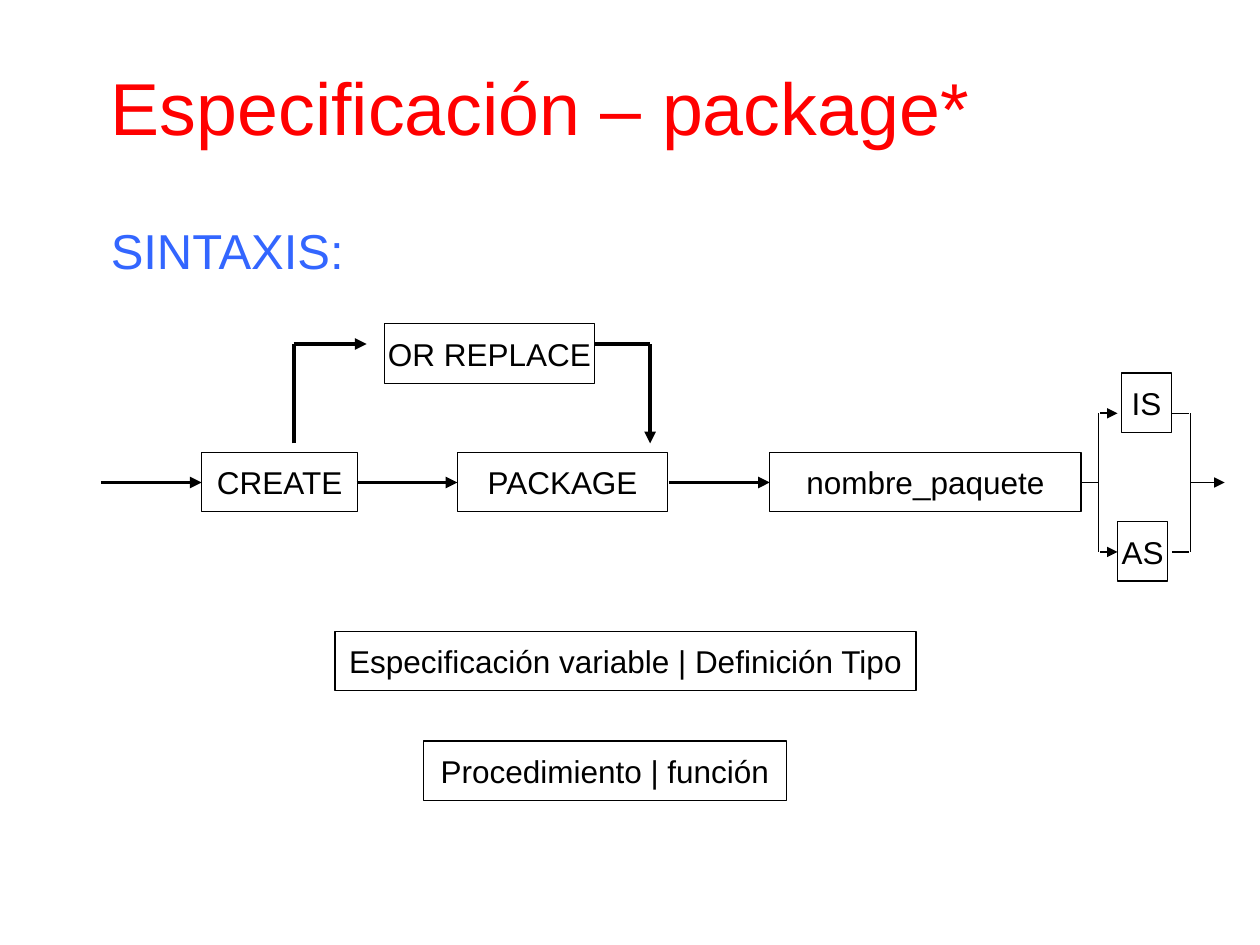
from lxml.etree import SubElement
from pptx import Presentation
from pptx.dml.color import RGBColor
from pptx.enum.shapes import MSO_CONNECTOR as Conn, MSO_SHAPE as Shape
from pptx.enum.text import MSO_ANCHOR as Anchor, MSO_AUTO_SIZE as AutoSize, PP_ALIGN as Align
from pptx.oxml.ns import qn
from pptx.util import Pt

RED = RGBColor(0xFF, 0x00, 0x00)
BLUE = RGBColor(0x33, 0x66, 0xFF)
BLACK = RGBColor(0x00, 0x00, 0x00)
FONT = "Arial"

BOX_H = 34
MAIN_Y = 275.7      # axis of the main track
BYPASS_Y = 196.6    # axis of the OR REPLACE detour
IS_Y, AS_Y = 236.2, 315.4
FORK_X, JOIN_X = 627.9, 680.4
THIN, MEDIUM, THICK = 0.75, 1, 2.25

BOXES = [  # text, left, top, width
    ("CREATE", 115.2, 258.5, 89.3),
    ("OR REPLACE", 219.6, 185, 120.2),
    ("PACKAGE", 261.4, 258.5, 120.2),
    ("nombre_paquete", 439.9, 258.5, 177.8),
    ("IS", 640.8, 213.1, 28.8),
    ("AS", 638.6, 298.1, 28.8),
    ("Especificación variable | Definición Tipo", 191.5, 360.7, 331.9),
    ("Procedimiento | función", 241.9, 423.4, 207.4),
]


def place(sp, left, top, width, height):
    sp.left, sp.top, sp.width, sp.height = Pt(left), Pt(top), Pt(width), Pt(height)


def write(sp, text, size, color, align=Align.LEFT, anchor=Anchor.TOP, wrap=True):
    tf = sp.text_frame
    tf.auto_size = AutoSize.NONE
    tf.word_wrap = wrap
    tf.vertical_anchor = anchor
    tf.margin_left = tf.margin_right = Pt(7.2)
    tf.margin_top = tf.margin_bottom = Pt(3.6)
    p = tf.paragraphs[0]
    p.alignment = align
    r = p.add_run()
    r.text = text
    r.font.name = FONT
    r.font.size = Pt(size)
    r.font.color.rgb = color
    return p


def add_title(s, text):
    sp = s.shapes.title
    place(sp, 56.2, 37.4, 512.6, 56.9)
    p = write(sp, text, 42, RED)
    p.line_spacing = 0.9
    p.space_before = Pt(10.5)


def add_heading(s, text):
    sp = s.shapes.add_textbox(Pt(56.2), Pt(122.4), Pt(151.9), Pt(39.6))
    write(sp, text, 28, BLUE).space_before = Pt(7)


def add_box(s, text, left, top, width):
    sp = s.shapes.add_shape(Shape.RECTANGLE, Pt(left), Pt(top), Pt(width), Pt(BOX_H))
    sp.shadow.inherit = False
    sp.fill.background()
    sp.line.color.rgb = BLACK
    sp.line.width = Pt(THIN)
    write(sp, text, 18, BLACK, Align.CENTER, Anchor.MIDDLE, wrap=False)


def add_line(s, x1, y1, x2, y2, width, arrow=False):
    cn = s.shapes.add_connector(Conn.STRAIGHT, Pt(x1), Pt(y1), Pt(x2), Pt(y2))
    cn.line.color.rgb = BLACK
    cn.line.width = Pt(width)
    if arrow:
        SubElement(cn.line._get_or_add_ln(), qn("a:tailEnd"), type="triangle")
    SubElement(cn._element.spPr, qn("a:effectLst"))


def add_main_track(s):
    for x in (57.6, 203.8, 382.3):
        add_line(s, x, MAIN_Y, x + 57.6, MAIN_Y, THICK, arrow=True)


def add_bypass(s):
    up, down, end = 167.8, 371.5, 253.4
    add_line(s, up, end, up, BYPASS_Y, THICK)
    add_line(s, up, BYPASS_Y, 209.5, BYPASS_Y, THICK, arrow=True)
    add_line(s, 339.8, BYPASS_Y, down, BYPASS_Y, THICK)
    add_line(s, down, BYPASS_Y, down, end, THICK, arrow=True)


def add_fork(s):
    add_line(s, 618.5, MAIN_Y, FORK_X, MAIN_Y, THIN)
    for x in (FORK_X, JOIN_X):
        add_line(s, x, IS_Y, x, AS_Y, THIN)
    for y in (IS_Y, AS_Y):
        add_line(s, 628.6, y, 638.6, y, MEDIUM, arrow=True)
        add_line(s, 669.6, y, 679.7, y, THIN)
    add_line(s, JOIN_X, MAIN_Y, 699.8, MAIN_Y, MEDIUM, arrow=True)


def main():
    prs = Presentation()
    prs.slide_width, prs.slide_height = Pt(720), Pt(540)
    s = prs.slides.add_slide(prs.slide_layouts[5])
    add_title(s, "Especificación – package*")
    add_heading(s, "SINTAXIS:")
    for box in BOXES:
        add_box(s, *box)
    add_main_track(s)
    add_bypass(s)
    add_fork(s)
    prs.save("out.pptx")


if __name__ == "__main__":
    main()
